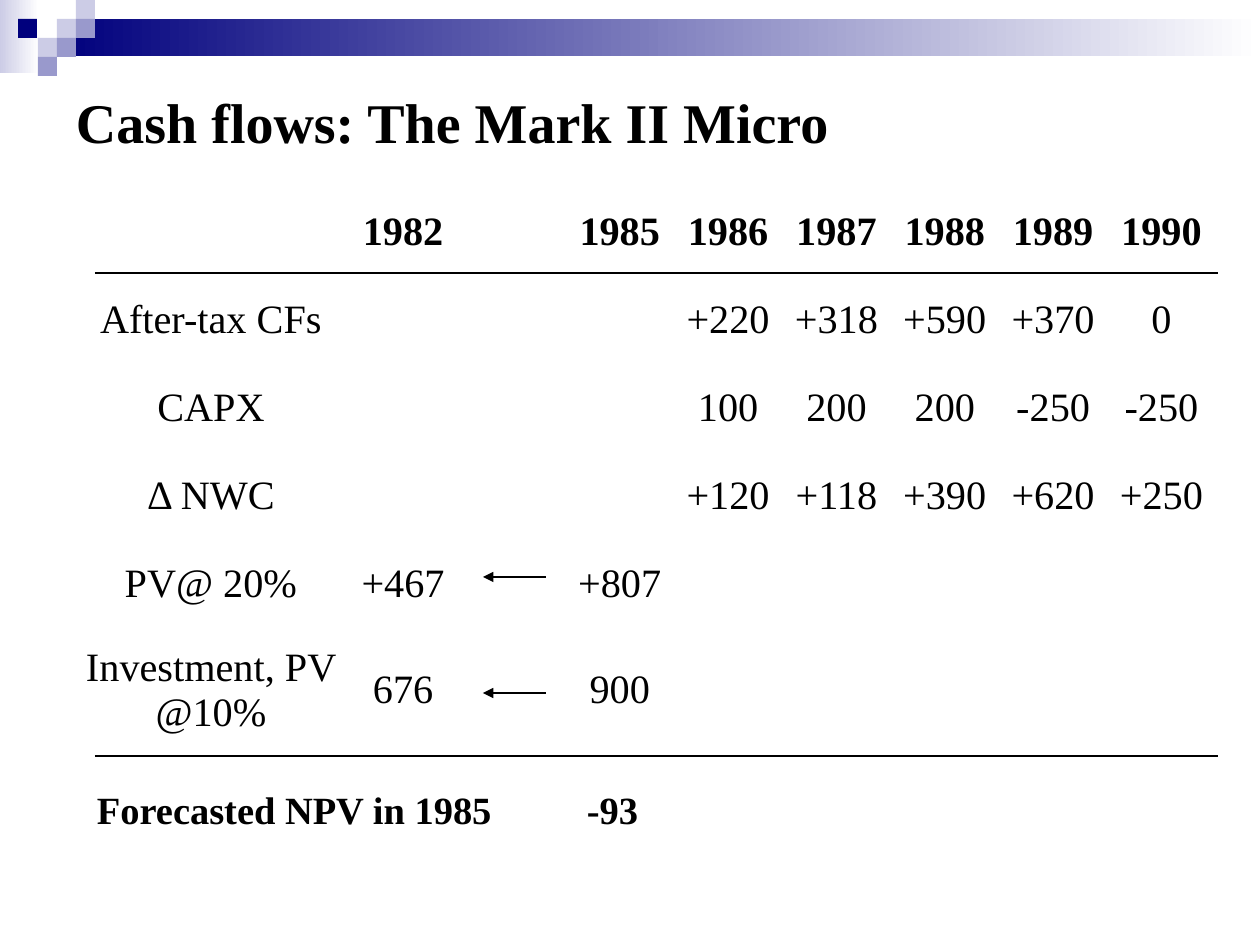
from pptx import Presentation
from pptx import util as u
from pptx.dml.color import RGBColor
from pptx.enum import shapes, text
from pptx.oxml.ns import qn
from lxml import etree

PX = 914400 / 126
FONT = "Times New Roman"
COLORS = {"ink": "000000", "white": "FFFFFF", "navy": "00007D",
          "lavender": "CCCCE6", "periwinkle": "9999CC"}
HEADER = ["", "1982", "", "1985", "1986", "1987", "1988", "1989", "1990"]
ROWS = [
    ["After-tax CFs", "", "", "", "+220", "+318", "+590", "+370", "0"],
    ["CAPX", "", "", "", "100", "200", "200", "-250", "-250"],
    ["Δ NWC", "", "", "", "+120", "+118", "+390", "+620", "+250"],
    ["PV@ 20%", "+467", "", "+807", "", "", "", "", ""],
    ["Investment, PV @10%", "676", "", "900", "", "", "", "", ""],
]


def px(value):
    return u.Emu(round(value * PX))


def color(name):
    return RGBColor.from_string(COLORS[name])


def style(paragraph, size, bold=False, align=text.PP_ALIGN.LEFT):
    paragraph.alignment = align
    font = paragraph.font
    font.name, font.size, font.bold = FONT, u.Pt(size), bold
    font.color.rgb = color("ink")


def set_margins(frame, left_right, top_bottom):
    frame.margin_left = frame.margin_right = px(left_right)
    frame.margin_top = frame.margin_bottom = px(top_bottom)


def add_block(slide, left, top, width, height, fill, fade=False):
    shape = slide.shapes.add_shape(shapes.MSO_SHAPE.RECTANGLE,
                                   px(left), px(top), px(width), px(height))
    shape.shadow.inherit = False
    shape.line.fill.background()
    if fade:
        shape.fill.gradient()
        shape.fill.gradient_angle = 0
        for stop, name in zip(shape.fill.gradient_stops, (fill, "white")):
            stop.color.rgb = color(name)
    else:
        shape.fill.solid()
        shape.fill.fore_color.rgb = color(fill)


def add_line(slide, x1, y1, x2, y2, arrow=False):
    line = slide.shapes.add_connector(shapes.MSO_CONNECTOR.STRAIGHT,
                                      px(x1), px(y1), px(x2), px(y2))
    line.line.color.rgb = color("ink")
    line.line.width = u.Pt(0.75)
    if arrow:
        etree.SubElement(line.line._get_or_add_ln(), qn("a:tailEnd"), type="triangle")
    etree.SubElement(line._element.spPr, qn("a:effectLst"))


def add_banner(slide, left, top, width):
    # Fading strip and bar
    add_block(slide, left, top, 39, 73, "lavender", fade=True)
    add_block(slide, left + 57, top + 19, width - 57, 37, "navy", fade=True)
    # Mosaic squares
    for x, y, fill in [(57, 19, "lavender"), (76, 0, "lavender"), (76, 19, "periwinkle"),
                       (38, 38, "lavender"), (18, 19, "navy"), (57, 38, "periwinkle"),
                       (38, 57, "periwinkle")]:
        add_block(slide, left + x, top + y, 19, 19, fill)


def add_title(slide, left, top, width, height):
    title = slide.shapes.title
    title.left, title.top, title.width, title.height = map(px, (left, top, width, height))
    frame = title.text_frame
    frame.text = "Cash flows: The Mark II Micro"
    frame.vertical_anchor = text.MSO_ANCHOR.MIDDLE
    set_margins(frame, 13, 6)
    style(frame.paragraphs[0], 32, bold=True)


def add_cash_flows(slide, left, top, width):
    row_height, last_height, label_width = 88, 125, 276
    height = len(ROWS) * row_height + last_height
    records = [HEADER] + ROWS
    table = slide.shapes.add_table(len(records), len(HEADER), px(left), px(top),
                                   px(width), px(height)).table
    table.first_row = table.horz_banding = False

    # Column and row grid
    year_width = (width - label_width) / (len(HEADER) - 1)
    for index, column in enumerate(table.columns):
        column.width = px(year_width if index else label_width)
    for row in table.rows:
        row.height = px(row_height)
    table.rows[len(ROWS)].height = px(last_height)

    # Cell values
    for row_index, record in enumerate(records):
        for column_index, value in enumerate(record):
            cell = table.cell(row_index, column_index)
            cell.fill.background()
            cell.text = value
            cell.vertical_anchor = text.MSO_ANCHOR.MIDDLE
            set_margins(cell, 4, 6)
            style(cell.text_frame.paragraphs[0], 23, row_index == 0, text.PP_ALIGN.CENTER)

    # Rules below the header and the last row
    for y in (85, 568):
        add_line(slide, left + 22, top + y, left + 1145, top + y)
    # Discounting arrows from 1985 back to 1982
    for y in (389, 505):
        add_line(slide, left + 473, top + y, left + 410, top + y, arrow=True)


def add_forecast(slide, left, top, width, height):
    box = slide.shapes.add_textbox(px(left), px(top), px(width), px(height))
    frame = box.text_frame
    frame.word_wrap = True
    set_margins(frame, 13, 6)
    paragraph = frame.paragraphs[0]
    paragraph.text = "Forecasted NPV in 1985\t-93"
    tabs = etree.SubElement(paragraph._p.get_or_add_pPr(), qn("a:tabLst"))
    etree.SubElement(tabs, qn("a:tab"), pos=str(px(490)), algn="l")
    style(paragraph, 22, bold=True)


def main():
    presentation = Presentation()
    presentation.slide_width, presentation.slide_height = px(1260), px(945)
    slide = presentation.slides.add_slide(presentation.slide_layouts[5])
    add_banner(slide, 0, 0, 1260)
    add_title(slide, 63, 63, 1134, 116)
    add_cash_flows(slide, 73, 188, 1143)
    add_forecast(slide, 84, 780, 651, 59)
    presentation.save("out.pptx")


if __name__ == "__main__":
    main()
